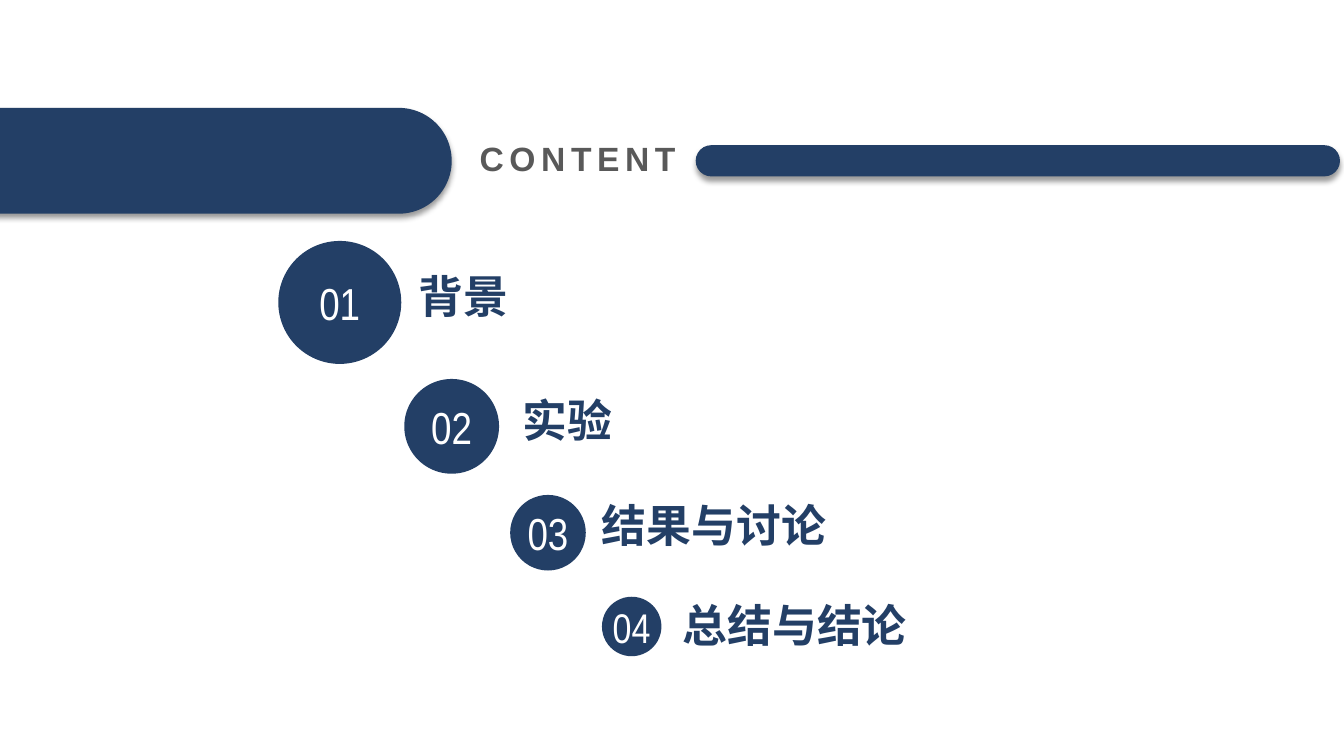
from lxml import etree
from pptx import Presentation
from pptx.dml.color import RGBColor
from pptx.enum.shapes import MSO_SHAPE
from pptx.enum.text import MSO_ANCHOR, PP_ALIGN
from pptx.oxml import parse_xml
from pptx.oxml.ns import nsdecls
from pptx.util import Inches, Pt

OVAL, ROUNDED = MSO_SHAPE.OVAL, MSO_SHAPE.ROUNDED_RECTANGLE
TOP, MIDDLE = MSO_ANCHOR.TOP, MSO_ANCHOR.MIDDLE
LEFT, CENTER = PP_ALIGN.LEFT, PP_ALIGN.CENTER
NAVY = RGBColor(0x23, 0x3F, 0x66)
GRAY = RGBColor(0x59, 0x59, 0x59)
WHITE = RGBColor(0xFF, 0xFF, 0xFF)

# Content: title, circle (left, top, diameter), number size, title box
SECTIONS = [
    ("背景", (2.76, 2.39, 1.22), 32, (4.15, 2.57, 2.34, 0.73)),
    ("实验", (4.01, 3.76, 0.94), 32, (5.18, 3.89, 2.49, 0.55)),
    ("结果与讨论", (5.06, 4.91, 0.75), 32, (5.97, 4.93, 3.45, 0.55)),
    ("总结与结论", (5.97, 5.92, 0.59), 29.6, (6.77, 5.92, 2.99, 0.55)),
]
HEADING = ("CONTENT", (4.56, 1.32, 2.34, 0.55))
BARS = [(-1.01, 1.07, 5.49, 1.05), (6.9, 1.44, 6.39, 0.31)]

prs = Presentation()
prs.slide_width, prs.slide_height = Inches(13.33), Inches(7.5)
slide = prs.slides.add_slide(prs.slide_layouts[6])


def add_solid(kind, box):
    solid = slide.shapes.add_shape(kind, *map(Inches, box))
    solid.fill.solid()
    solid.fill.fore_color.rgb = NAVY
    solid.line.fill.background()
    solid.shadow.inherit = False
    return solid


def write(shape, text, font, size, color, align, bold=False, anchor=MIDDLE,
          inset=0, wrap=False):
    frame = shape.text_frame
    frame.word_wrap = wrap
    frame.vertical_anchor = anchor
    frame.margin_left = frame.margin_right = Inches(inset)
    frame.margin_top = frame.margin_bottom = Inches(inset / 2)
    line = frame.paragraphs[0]
    line.text = text
    line.alignment = align
    line.font.name, line.font.size, line.font.bold = font, Pt(size), bold
    line.font.color.rgb = color
    return line


def drop_shadow(shape):
    effects = shape.fill._xPr.find("{*}effectLst")
    shadow = parse_xml(
        f'<a:outerShdw {nsdecls("a")} blurRad="{Pt(4)}" dist="{Pt(3)}" '
        'dir="5400000" algn="t" rotWithShape="0"><a:srgbClr val="000000">'
        '<a:alpha val="40000"/></a:srgbClr></a:outerShdw>')
    effects.append(shadow)


# Numbered sections
for number, (title, (left, top, diameter), size, title_box) in enumerate(SECTIONS, 1):
    circle = add_solid(OVAL, (left, top, diameter, diameter))
    write(circle, f"{number:02}", "Arial Narrow", size, WHITE, CENTER)
    label = slide.shapes.add_textbox(*map(Inches, title_box))
    write(label, title, "Times New Roman", 32, NAVY, LEFT, bold=True, wrap=True)

# Header bars
for box in BARS:
    bar = add_solid(ROUNDED, box)
    bar.adjustments[0] = 0.5
    drop_shadow(bar)

# Heading with letter spacing
heading_text, heading_box = HEADING
heading = slide.shapes.add_textbox(*map(Inches, heading_box))
heading_line = write(heading, heading_text, "Arial", 24, GRAY, CENTER,
                     bold=True, anchor=TOP, inset=0.1)
run_properties = etree.SubElement(
    heading_line.runs[0]._r,
    "{http://schemas.openxmlformats.org/drawingml/2006/main}rPr", spc="400")
heading_line.runs[0]._r.insert(0, run_properties)

prs.save("out.pptx")
